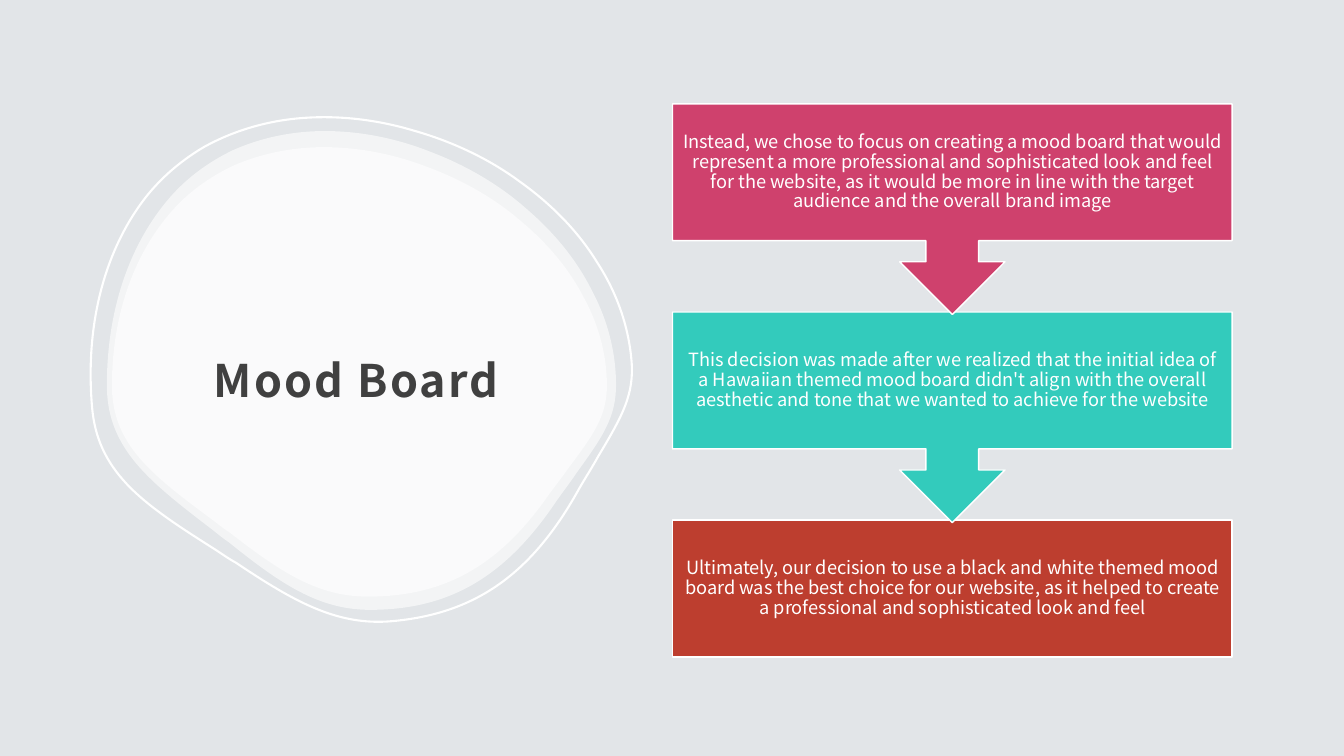
from collections import namedtuple
from dataclasses import dataclass

from lxml import etree
from pptx import Presentation
from pptx.dml.color import RGBColor
from pptx.enum.shapes import MSO_SHAPE
from pptx.enum.text import MSO_ANCHOR, MSO_AUTO_SIZE, PP_ALIGN
from pptx.oxml.ns import qn
from pptx.util import Inches, Pt

RECTANGLE, CALLOUT = MSO_SHAPE.RECTANGLE, MSO_SHAPE.DOWN_ARROW_CALLOUT
MIDDLE, NO_FIT = MSO_ANCHOR.MIDDLE, MSO_AUTO_SIZE.NONE
LEFT, CENTER = PP_ALIGN.LEFT, PP_ALIGN.CENTER
TITLE_ONLY = 5

Box = namedtuple("Box", "left top width height")


@dataclass(frozen=True)
class Theme:
    font: str = "Noto Sans CJK JP"
    background: str = "E2E5E8"
    white: str = "FFFFFF"
    ink: str = "404040"
    pink: str = "CF416D"
    teal: str = "33CBBC"
    red: str = "BD3E2F"
    title_size: int = 32
    body_size: int = 13


THEME = Theme()

# Pebble outline on its own grid: a start, then three points per curve
PEBBLE_WIDTH, PEBBLE_HEIGHT = 505, 475
PEBBLE_START = (216, 0)
PEBBLE_CURVES = [
    (183, 0), (152, 7), (125, 19),
    (100, 31), (77, 48), (59, 70),
    (21, 116), (0, 180), (0, 252),
    (0, 280), (8, 303), (26, 326),
    (45, 350), (74, 372), (104, 395),
    (109, 399), (115, 404), (121, 408),
    (172, 449), (210, 475), (261, 475),
    (339, 475), (395, 443), (446, 367),
    (453, 357), (460, 348), (466, 339),
    (492, 303), (505, 284), (505, 252),
    (505, 220), (497, 188), (481, 158),
    (466, 128), (444, 101), (416, 77),
    (389, 53), (356, 34), (322, 21),
    (287, 7), (251, 0), (216, 0),
]

STEPS = [
    (THEME.pink, "Instead, we chose to focus on creating a mood board that would "
     "represent a more professional and sophisticated look and feel for the website, "
     "as it would be more in line with the target audience and the overall brand image"),
    (THEME.teal, "This decision was made after we realized that the initial idea of a "
     "Hawaiian themed mood board didn't align with the overall aesthetic and tone "
     "that we wanted to achieve for the website"),
    (THEME.red, "Ultimately, our decision to use a black and white themed mood board "
     "was the best choice for our website, as it helped to create a professional "
     "and sophisticated look and feel"),
]


def color(code):
    return RGBColor.from_string(code)


def write(shape, text, size, ink, align, spacing, inset, bold=False):
    frame = shape.text_frame
    frame.word_wrap = True
    frame.auto_size = NO_FIT
    frame.vertical_anchor = MIDDLE
    frame.margin_left = frame.margin_right = Inches(inset)
    frame.margin_top = frame.margin_bottom = Inches(inset)
    para = frame.paragraphs[0]
    para.alignment = align
    para.line_spacing = spacing
    span = para.add_run()
    span.text = text
    span.font.name = THEME.font
    span.font.size = Pt(size)
    span.font.bold = bold
    span.font.color.rgb = color(ink)
    return span


def add_pebble(page, box):
    """Draw the closed pebble outline so that it fills the box."""
    scale = (Inches(box.width) / PEBBLE_WIDTH, Inches(box.height) / PEBBLE_HEIGHT)
    builder = page.shapes.build_freeform(*PEBBLE_START, scale=scale)
    builder.add_line_segments(PEBBLE_CURVES, close=True)
    pebble = builder.convert_to_shape(Inches(box.left), Inches(box.top))
    pebble.shadow.inherit = False
    # Merge each three straight segments into one cubic curve
    segments = list(pebble.element.iter(qn("a:lnTo")))
    for first in range(0, len(segments), 3):
        curve, *others = segments[first:first + 3]
        for other in others:
            curve.append(other[0])
            other.getparent().remove(other)
        curve.tag = qn("a:cubicBezTo")
    return pebble


def add_title_region(page, box):
    """Two translucent pebbles, a tilted outline and the title on top."""
    layers = [Box(box.left + 0.17, box.top + 0.17, 5.05, 4.75),
              Box(box.left + 0.22, box.top + 0.33, 4.91, 4.46)]
    for layer in layers:
        pebble = add_pebble(page, layer)
        pebble.line.fill.background()
        pebble.fill.solid()
        pebble.fill.fore_color.rgb = color(THEME.white)
        tint = next(pebble.element.spPr.iter(qn("a:srgbClr")))
        etree.SubElement(tint, qn("a:alpha"), val="60000")

    outline = add_pebble(page, box)
    outline.rotation = -5
    outline.fill.background()
    outline.line.color.rgb = color(THEME.white)
    outline.line.width = Pt(1.5)

    title = page.shapes.title
    title.left, title.top = Inches(box.left + 1.11), Inches(box.top + 0.95)
    title.width, title.height = Inches(3.62), Inches(3.21)
    span = write(title, "Mood Board", THEME.title_size, THEME.ink, LEFT, 1.3, 0.12, True)
    span.font._element.set("spc", "150")
    title.element.getparent().append(title.element)


def add_step_region(page, box):
    """Equal steps down the box; all but the last point to the next."""
    panel_height, callout_height = 1.36, 2.09
    last = len(STEPS) - 1
    pitch = (box.height - panel_height) / last
    # Drawn from the bottom up, so each arrow tip lies over the next panel
    for index, (fill, text) in reversed(list(enumerate(STEPS))):
        kind, height = (RECTANGLE, panel_height) if index == last else (CALLOUT, callout_height)
        step = page.shapes.add_shape(
            kind, Inches(box.left), Inches(box.top + index * pitch),
            Inches(box.width), Inches(height))
        step.shadow.inherit = False
        step.fill.solid()
        step.fill.fore_color.rgb = color(fill)
        step.line.color.rgb = color(THEME.white)
        step.line.width = Pt(1)
        write(step, text, THEME.body_size, THEME.white, CENTER, 0.9, 0.1)


def main():
    deck = Presentation()
    deck.slide_width, deck.slide_height = Inches(13.33), Inches(7.5)
    page = deck.slides.add_slide(deck.slide_layouts[TITLE_ONLY])
    page.background.fill.solid()
    page.background.fill.fore_color.rgb = color(THEME.background)
    add_title_region(page, Box(0.89, 1.13, 5.37, 5.05))
    add_step_region(page, Box(6.67, 1.03, 5.55, 5.49))
    deck.save("out.pptx")


if __name__ == "__main__":
    main()
